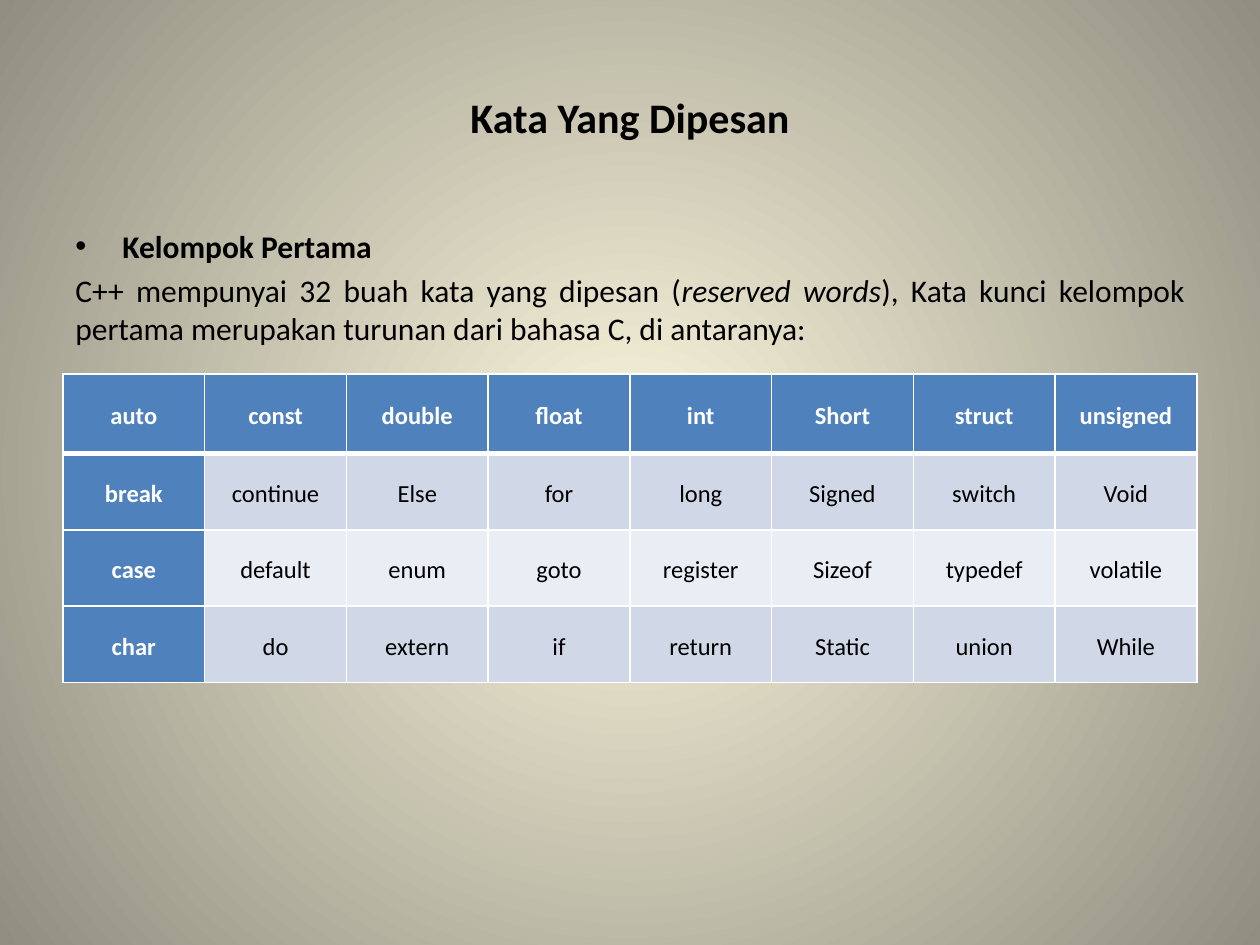
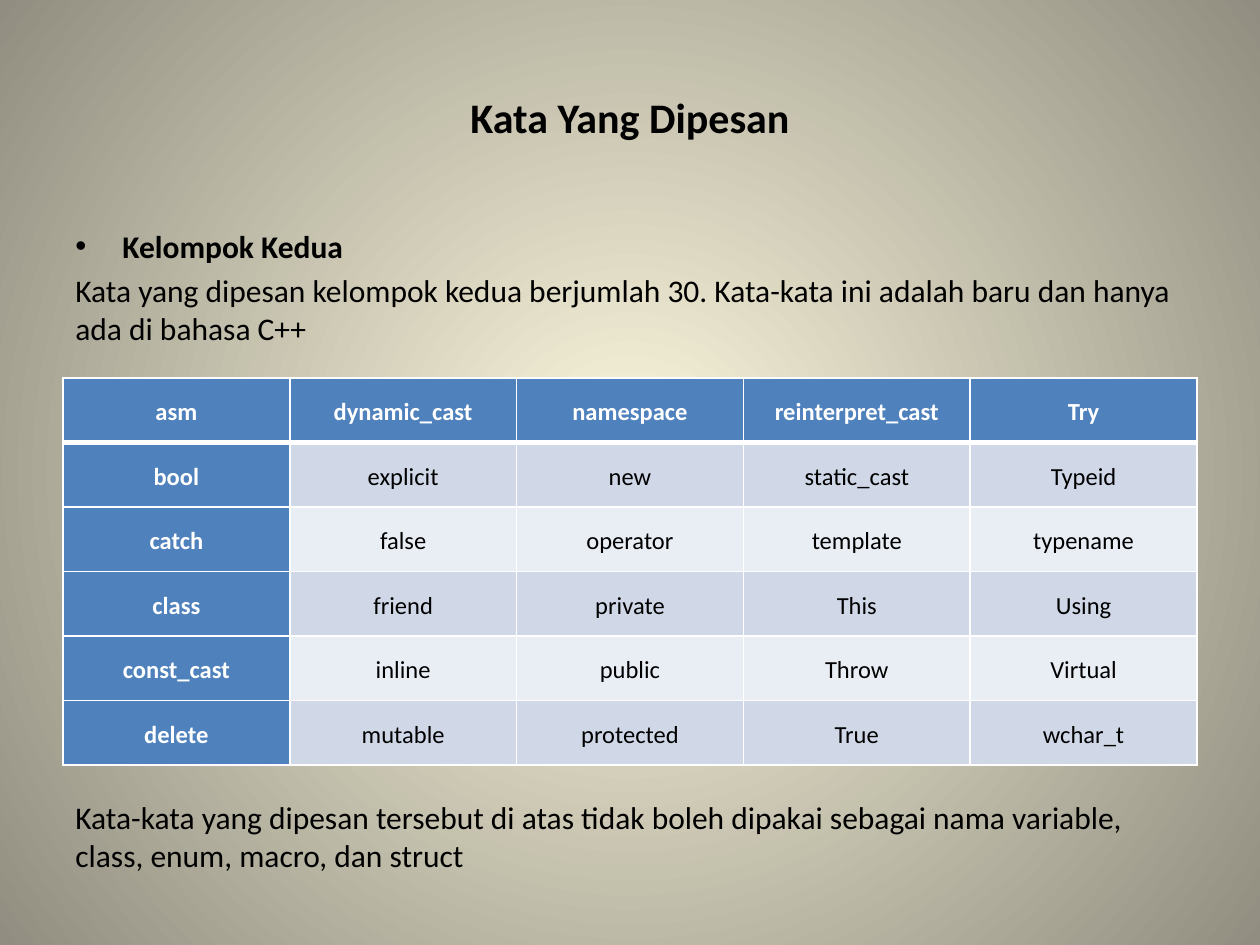
from lxml import etree
from pptx import Presentation
from pptx.dml.color import RGBColor
from pptx.enum.text import MSO_ANCHOR, PP_ALIGN
from pptx.oxml import parse_xml
from pptx.oxml.ns import nsdecls, qn
from pptx.util import Cm, Pt

BLACK = RGBColor(0x00, 0x00, 0x00)
WHITE = RGBColor(0xFF, 0xFF, 0xFF)
HEADER_BLUE = RGBColor(0x4F, 0x81, 0xBD)
BAND_DARK = RGBColor(0xD0, 0xD8, 0xE8)
BAND_LIGHT = RGBColor(0xE9, 0xED, 0xF4)
GLOW = RGBColor(0xFC, 0xF7, 0xDD)
EDGE = RGBColor(0x91, 0x8E, 0x81)

FONT = "Calibri"
TITLE = "Kata Yang Dipesan"
MARGIN, WIDTH = Cm(1.27), Cm(22.86)

# Body runs are (text, italic); a table is a list of rows of words.
SLIDES = [
    {
        "heading": "Kelompok Pertama",
        "intro": [
            ("C++ mempunyai 32 buah kata yang dipesan (", False),
            ("reserved words", True),
            ("), Kata kunci kelompok pertama merupakan turunan dari\u00a0bahasa C, "
             "di antaranya:", False),
        ],
        "note": None,
        "align": PP_ALIGN.JUSTIFY,
        "top": Cm(7.54),
        "header_height": Cm(1.6),
        "row_height": Cm(1.54),
        "tight_words": {"float"},
        "words": [
            ["auto", "const", "double", "float", "int", "Short", "struct", "unsigned"],
            ["break", "continue", "Else", "for", "long", "Signed", "switch", "Void"],
            ["case", "default", "enum", "goto", "register", "Sizeof", "typedef", "volatile"],
            ["char", "do", "extern", "if", "return", "Static", "union", "While"],
        ],
    },
    {
        "heading": "Kelompok Kedua",
        "intro": [
            ("Kata yang dipesan kelompok kedua berjumlah 30. Kata-kata ini adalah baru "
             "dan hanya ada di bahasa C++", False),
        ],
        "note": "Kata-kata yang dipesan tersebut di atas tidak boleh dipakai sebagai "
                "nama variable, class, enum, macro, dan struct",
        "align": PP_ALIGN.LEFT,
        "top": Cm(7.62),
        "header_height": Cm(1.3),
        "row_height": Cm(1.3),
        "tight_words": set(),
        "words": [
            ["asm", "dynamic_cast", "namespace", "reinterpret_cast", "Try"],
            ["bool", "explicit", "new", "static_cast", "Typeid"],
            ["catch", "false", "operator", "template", "typename"],
            ["class", "friend", "private", "This", "Using"],
            ["const_cast", "inline", "public", "Throw", "Virtual"],
            ["delete", "mutable", "protected", "True", "wchar_t"],
        ],
    },
]


def add_run(paragraph, text, size, color=BLACK, bold=False, italic=False):
    """Add one formatted run to a paragraph."""
    run = paragraph.add_run()
    run.text = text
    font = run.font
    font.name, font.size, font.bold, font.italic = FONT, Pt(size), bold, italic
    font.color.rgb = color


def set_background(master):
    """Give the master a radial gradient that glows from the centre."""
    fill = master.background.fill
    fill.gradient()
    for stop, color in zip(fill.gradient_stops, (GLOW, EDGE)):
        stop.color.rgb = color
    gradient = master.element.find(".//" + qn("a:gradFill"))
    for stop, position in zip(gradient.iter(qn("a:gs")), (0, 100000)):
        stop.set("pos", str(position))
    gradient.remove(gradient.find(qn("a:lin")))
    gradient.append(parse_xml(
        f'<a:path {nsdecls("a")} path="circle">'
        '<a:fillToRect l="50000" t="50000" r="50000" b="50000"/></a:path>'))


def add_title(slide):
    """Place and format the title placeholder."""
    title = slide.shapes.title
    title.left, title.top, title.width, title.height = MARGIN, Cm(0.76), WIDTH, Cm(3.18)
    frame = title.text_frame
    frame.vertical_anchor = MSO_ANCHOR.MIDDLE
    frame.paragraphs[0].alignment = PP_ALIGN.CENTER
    add_run(frame.paragraphs[0], TITLE, 24, bold=True)


def add_bullet(paragraph):
    """Turn a paragraph into a bullet with a hanging indent."""
    properties = paragraph._p.get_or_add_pPr()
    properties.set("marL", str(Cm(0.95)))
    properties.set("indent", str(-Cm(0.95)))
    etree.SubElement(properties, qn("a:buFont")).set("typeface", "Arial")
    etree.SubElement(properties, qn("a:buChar")).set("char", "•")


def add_body(slide, content):
    """Add the bulleted heading, the introduction and the closing note."""
    box = slide.shapes.add_textbox(MARGIN, Cm(4.45), WIDTH, Cm(12.57))
    frame = box.text_frame
    frame.word_wrap = True
    heading, intro = frame.paragraphs[0], frame.add_paragraph()
    for paragraph in (heading, intro):
        paragraph.alignment = content["align"]
        paragraph.space_before = Pt(3.6)
    add_bullet(heading)
    add_run(heading, content["heading"], 18, bold=True)
    for text, italic in content["intro"]:
        add_run(intro, text, 18, italic=italic)
    if content["note"]:
        note = frame.add_paragraph()
        note.alignment = content["align"]
        note.space_before = Pt(258)  # clears the table
        add_run(note, content["note"], 18)


def set_borders(cell, top, bottom):
    """Draw white borders; top and bottom widths are in points."""
    properties = cell._tc.get_or_add_tcPr()
    sides = (("L", 1), ("R", 1), ("T", top), ("B", bottom))
    for index, (side, width) in enumerate(sides):
        properties.insert(index, parse_xml(
            f'<a:ln{side} {nsdecls("a")} w="{Pt(width)}"><a:solidFill>'
            f'<a:srgbClr val="{WHITE}"/></a:solidFill></a:ln{side}>'))


def fill_cell(cell, word, row, column, tight):
    """Write one word and style its cell by its place in the table."""
    is_header = row == 0 or column == 0
    cell.fill.solid()
    cell.fill.fore_color.rgb = (
        HEADER_BLUE if is_header else BAND_DARK if row % 2 else BAND_LIGHT)
    set_borders(cell, top=3 if row == 1 else 1, bottom=3 if row == 0 else 1)
    cell.vertical_anchor = MSO_ANCHOR.MIDDLE
    cell.margin_left = cell.margin_right = Cm(0.18)
    cell.margin_top = cell.margin_bottom = Cm(0.08)
    paragraph = cell.text_frame.paragraphs[0]
    paragraph.alignment = PP_ALIGN.CENTER
    paragraph.line_spacing = 1.15
    if not tight:
        paragraph.space_before = paragraph.space_after = Pt(12)
    add_run(paragraph, word, 14, WHITE if is_header else BLACK, bold=is_header)


def add_word_table(slide, content):
    """Add the table of reserved words with equal columns."""
    words = content["words"]
    heights = [content["header_height"]] + [content["row_height"]] * (len(words) - 1)
    table = slide.shapes.add_table(
        len(words), len(words[0]), MARGIN, content["top"], WIDTH, sum(heights)).table
    for row, (height, line) in enumerate(zip(heights, words)):
        table.rows[row].height = height
        for column, word in enumerate(line):
            fill_cell(table.cell(row, column), word, row, column,
                      word in content["tight_words"])


def main():
    """Build and save the presentation."""
    prs = Presentation()
    prs.slide_width, prs.slide_height = Cm(25.4), Cm(19.05)
    set_background(prs.slide_master)
    for content in SLIDES:
        slide = prs.slides.add_slide(prs.slide_layouts.get_by_name("Title Only"))
        add_title(slide)
        add_body(slide, content)
        add_word_table(slide, content)
    prs.save("out.pptx")


main()
